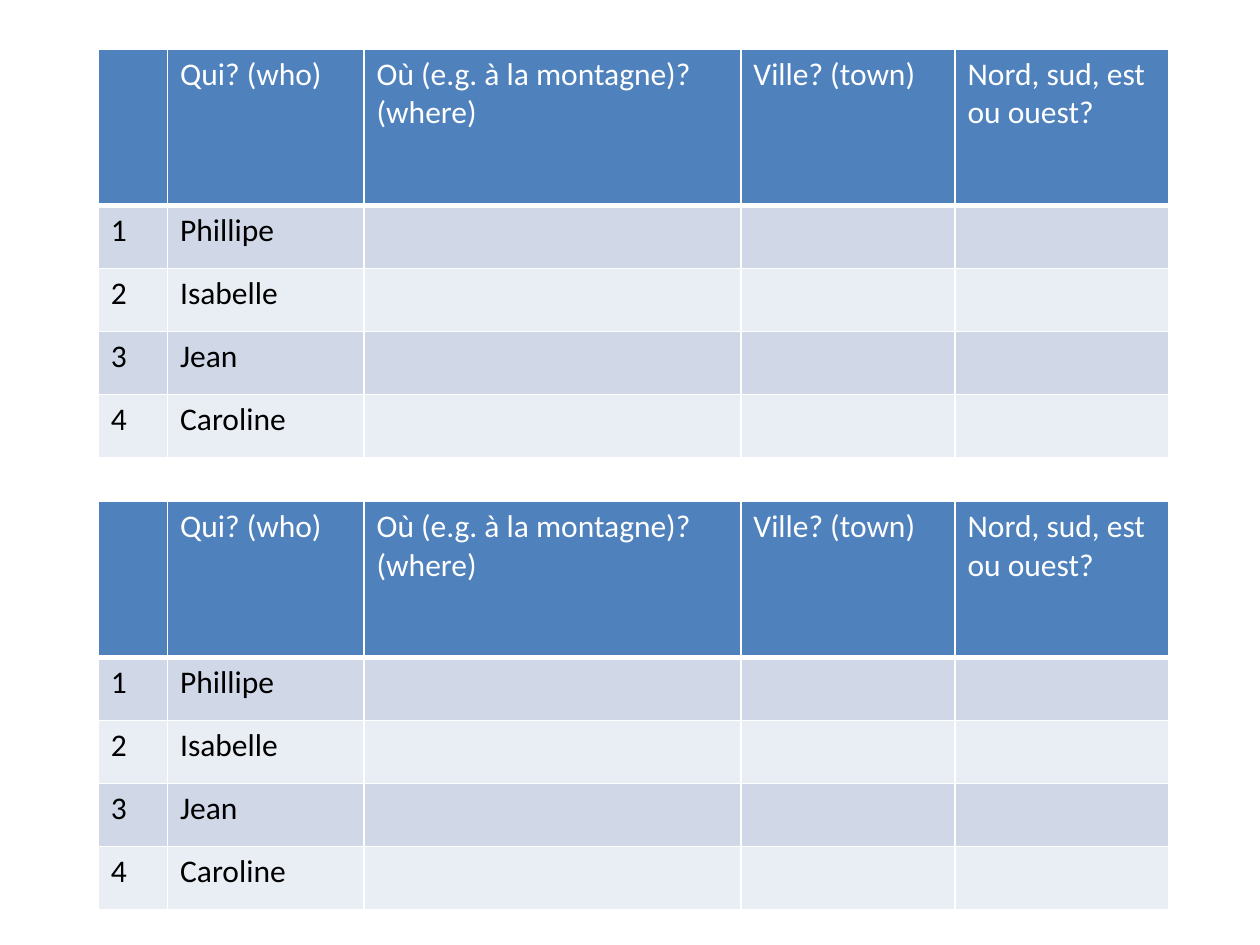
from dataclasses import dataclass

import lxml.etree
import pptx
import pptx.dml.color
import pptx.oxml.ns
import pptx.slide
import pptx.table
import pptx.util


@dataclass(frozen=True)
class Theme:
    font: str = "Calibri"
    text_size: int = 18
    header_fill: str = "4F81BD"
    band_fills: tuple[str, str] = ("D0D8E8", "E9EDF4")
    header_text: str = "FFFFFF"
    body_text: str = "000000"
    border: str = "FFFFFF"
    border_width: int = 1
    header_rule_width: int = 3


@dataclass(frozen=True)
class Grid:
    left: float
    column_widths: tuple[float, ...]
    header_height: float
    row_height: float


THEME = Theme()
GRID = Grid(0.78, (0.55, 1.56, 2.99, 1.7, 1.7), 1.24, 0.5)
TABLE_TOPS = (0.39, 3.98)
HEADERS = ("", "Qui? (who)", "Où (e.g. à la montagne)? (where)",
           "Ville? (town)", "Nord, sud, est ou ouest?")
PEOPLE = ("Phillipe", "Isabelle", "Jean", "Caroline")


def add_borders(cell: pptx.table._Cell, bottom_width: int) -> None:
    """Draw solid cell borders; call before filling, as the schema puts lines first."""
    properties = cell._tc.get_or_add_tcPr()
    qualified = pptx.oxml.ns.qn
    for side in "LRTB":
        width = bottom_width if side == "B" else THEME.border_width
        line = lxml.etree.SubElement(properties, qualified(f"a:ln{side}"),
                                     w=str(pptx.util.Pt(width)))
        fill = lxml.etree.SubElement(line, qualified("a:solidFill"))
        lxml.etree.SubElement(fill, qualified("a:srgbClr"), val=THEME.border)


def format_cell(cell: pptx.table._Cell, text: str, fill: str, color: str,
                bottom_width: int) -> None:
    add_borders(cell, bottom_width)
    cell.fill.solid()
    cell.fill.fore_color.rgb = pptx.dml.color.RGBColor.from_string(fill)
    para = cell.text_frame.paragraphs[0]
    para.font.size = pptx.util.Pt(THEME.text_size)
    if text:
        span = para.add_run()
        span.text = text
        span.font.name = THEME.font
        span.font.size = pptx.util.Pt(THEME.text_size)
        span.font.bold = False
        span.font.color.rgb = pptx.dml.color.RGBColor.from_string(color)


def add_answer_table(slide: pptx.slide.Slide, top: float) -> None:
    rows = [HEADERS] + [(str(number), person, "", "", "")
                        for number, person in enumerate(PEOPLE, start=1)]
    heights = [GRID.header_height] + [GRID.row_height] * len(PEOPLE)
    inches = pptx.util.Inches
    table = slide.shapes.add_table(
        len(rows), len(HEADERS), inches(GRID.left), inches(top),
        inches(sum(GRID.column_widths)), inches(sum(heights))).table
    for column, width in zip(table.columns, GRID.column_widths):
        column.width = inches(width)
    for index, (texts, height) in enumerate(zip(rows, heights)):
        table.rows[index].height = inches(height)
        if index == 0:
            style = (THEME.header_fill, THEME.header_text, THEME.header_rule_width)
        else:
            style = (THEME.band_fills[(index - 1) % 2], THEME.body_text,
                     THEME.border_width)
        for cell, text in zip(table.rows[index].cells, texts):
            format_cell(cell, text, *style)


def main() -> None:
    deck = pptx.Presentation()
    deck.slide_width = pptx.util.Inches(10)
    deck.slide_height = pptx.util.Inches(7.5)
    slide = deck.slides.add_slide(deck.slide_layouts[6])
    for top in TABLE_TOPS:
        add_answer_table(slide, top)
    deck.save("out.pptx")


if __name__ == "__main__":
    main()
